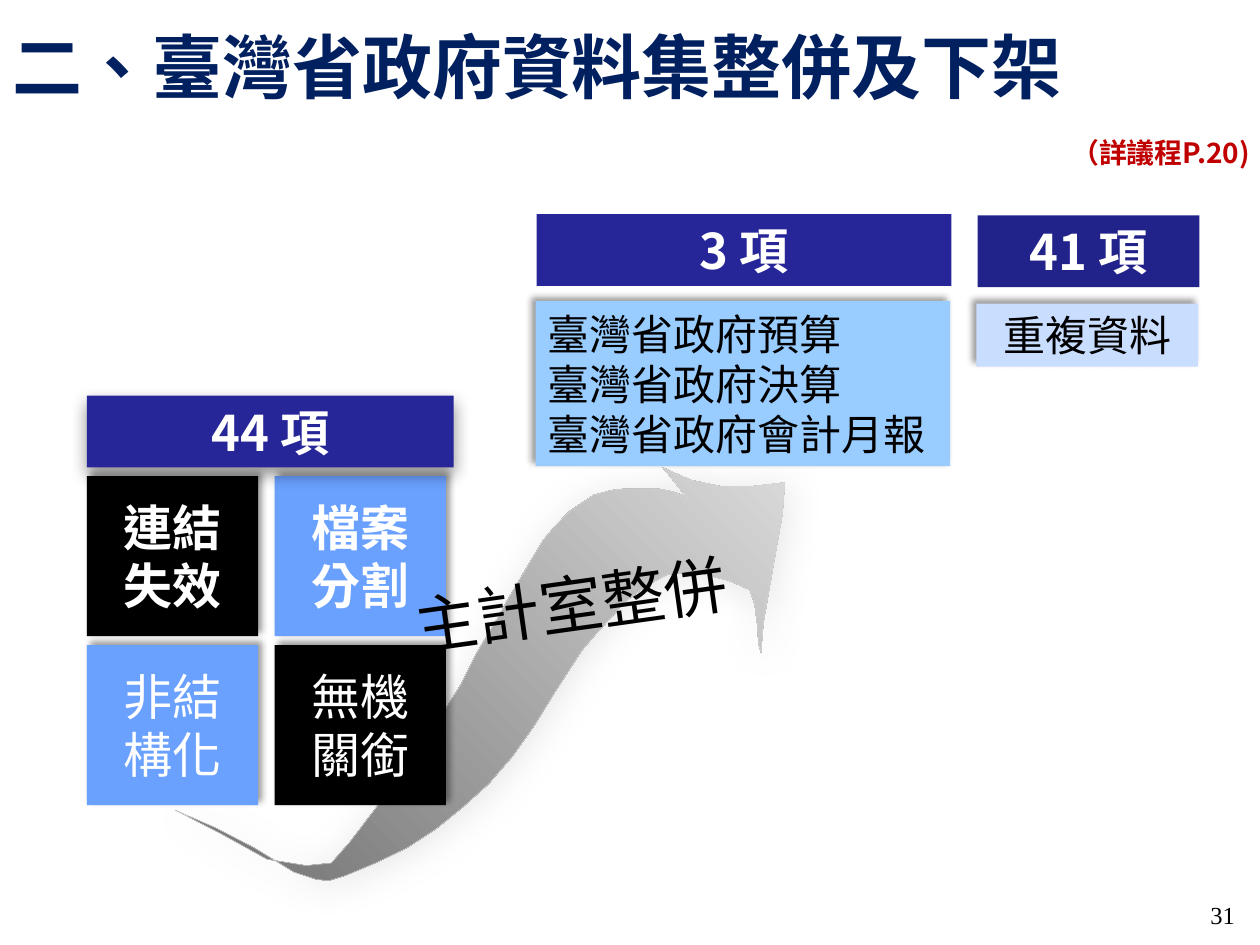
from lxml.etree import SubElement
from pptx import Presentation
from pptx.dml.color import RGBColor
from pptx.enum.shapes import MSO_SHAPE as SHAPE
from pptx.enum.text import MSO_ANCHOR as ANCHOR, PP_ALIGN as ALIGN
from pptx.oxml.ns import qn
from pptx.util import Inches, Pt

SC, TC, ROMAN = "Noto Sans CJK SC", "Noto Sans CJK TC", "Times New Roman"
WHITE, BLACK, NAVY, BLUE = "FFFFFF", "000000", "262699", "6AA1FF"
LEFT, CENTER, RIGHT = ALIGN.LEFT, ALIGN.CENTER, ALIGN.RIGHT

TITLE = "二、臺灣省政府資料集整併及下架"
TILES = [
    [(["連結失效"], BLACK, True), (["檔案", "分割"], BLUE, True)],
    [(["非結", "構化"], BLUE, False), (["無機", "關銜"], BLACK, False)],
]
TILE_LEFT, TILE_TOP, TILE_W, TILE_H = 0.69, 3.78, 1.36, 1.27
COL_STEP, ROW_STEP = 1.49, 1.34
HEADINGS = [
    ("44 項", (0.69, 3.14, 2.91, 0.57), NAVY, (BLACK, 43, 10, 4, 90)),
    ("3 項", (4.26, 1.7, 3.29, 0.57), NAVY, None),
    ("41 項", (7.76, 1.71, 1.76, 0.57), "22228B", None),
]
DETAILS = [
    (["臺灣省政府預算", "臺灣省政府決算", "臺灣省政府會計月報"],
     (4.25, 2.39, 3.29, 1.31), "99CCFF", LEFT),
    (["重複資料"], (7.75, 2.41, 1.76, 0.5), "C9DDFF", CENTER),
]
LABELS = [
    ("主計室整併", (3.18, 4.39, 3.43, 0.71), -8, LEFT,
     dict(size=36, name=SC, color=BLACK)),
    ("（詳議程P.20)", (7.96, 1.03, 2.06, 0.37), 0, RIGHT,
     dict(size=16, name=SC, color="C00000", bold=True)),
    ("31", (9.13, 7.09, 0.77, 0.24), 0, RIGHT,
     dict(size=14, name=ROMAN, color=BLACK)),
]
UNITS_PER_INCH = 100
ARROW = [
    (139, 643), (171, 657), (202, 673), (233, 692), (251, 698),
    (261, 699), (274, 695), (298, 685), (323, 673), (346, 658),
    (367, 641), (388, 622), (407, 600), (424, 576), (440, 550),
    (451, 533), (462, 516), (474, 502), (486, 489), (497, 477),
    (509, 468), (520, 461), (530, 456), (539, 455), (547, 454),
    (557, 455), (567, 458), (579, 461), (595, 468), (599, 480),
    (601, 496), (602, 511), (604, 518), (606, 494), (615, 442),
    (621, 408), (623, 383), (597, 386), (572, 386), (548, 381),
    (526, 371), (547, 397), (542, 393), (533, 390), (523, 388),
    (512, 388), (495, 388), (486, 389), (471, 393), (453, 405),
    (441, 417), (431, 429), (419, 449), (403, 476), (393, 494),
    (378, 519), (366, 543), (351, 567), (336, 588), (307, 630),
    (278, 668), (263, 685), (243, 687), (212, 682), (176, 662),
]


def rgb(value):
    return RGBColor.from_string(value)


def place(s, box):
    for key, value in zip(("left", "top", "width", "height"), box):
        setattr(s, key, Inches(value))


def write(s, lines, fmt, align=LEFT, anchor=ANCHOR.TOP, pitch=None):
    tf = s.text_frame
    tf.word_wrap = True
    tf.vertical_anchor = anchor
    values = {"bold": False, **fmt, "size": Pt(fmt["size"])}
    color = values.pop("color")
    for i, line in enumerate(lines):
        p = tf.add_paragraph() if i else tf.paragraphs[0]
        p.alignment = align
        if pitch:
            p.line_spacing = Pt(pitch)
        r = p.add_run()
        r.text = line
        r.font.color.rgb = rgb(color)
        for key, value in values.items():
            setattr(r.font, key, value)
        r.font._element.set("lang", "zh-TW")
        SubElement(r.font._element, qn("a:ea"), typeface=fmt["name"])


def cast_shadow(s, color, alpha, blur, dist, angle):
    s.shadow.inherit = False
    effects = s._element.spPr.find(qn("a:effectLst"))
    outer = SubElement(effects, qn("a:outerShdw"), blurRad=str(Pt(blur)),
                       dist=str(Pt(dist)), dir=str(angle * 60000),
                       algn="ctr", rotWithShape="0")
    clr = SubElement(outer, qn("a:srgbClr"), val=color)
    SubElement(clr, qn("a:alpha"), val=str(alpha * 1000))


def panel(shapes, box, fill, shadow=None):
    s = shapes.add_shape(SHAPE.RECTANGLE, *map(Inches, box))
    s.fill.solid()
    s.fill.fore_color.rgb = rgb(fill)
    s.line.fill.background()
    s.shadow.inherit = False
    if shadow:
        cast_shadow(s, *shadow)
    return s


def add_arrow(shapes):
    builder = shapes.build_freeform(*ARROW[0], scale=Inches(1) / UNITS_PER_INCH)
    builder.add_line_segments(ARROW[1:], close=True)
    s = builder.convert_to_shape()
    s.fill.gradient()
    s.fill.gradient_angle = 45
    for stop, color in zip(s.fill.gradient_stops, ("717171", "D9D9D9")):
        stop.color.rgb = rgb(color)
    s.line.color.rgb = rgb("D7D7D7")
    s.line.width = Pt(0.25)
    cast_shadow(s, "C0C0C0", 40, 20, 3, 45)


def main():
    prs = Presentation()
    prs.slide_width, prs.slide_height = Inches(10), Inches(7.5)
    slide = prs.slides.add_slide(prs.slide_layouts[5])
    shapes = slide.shapes
    place(shapes.title, (0, 0.14, 9.96, 0.89))
    write(shapes.title, [TITLE], dict(size=40, name=SC, color="002060", bold=True))

    add_arrow(shapes)
    for row, tiles in enumerate(TILES):
        for col, (lines, fill, bold) in enumerate(tiles):
            box = (TILE_LEFT + col * COL_STEP, TILE_TOP + row * ROW_STEP, TILE_W, TILE_H)
            s = panel(shapes, box, fill, (BLACK, 40, 4, 3, 315))
            write(s, lines, dict(size=28, name=TC, color=WHITE, bold=bold),
                  CENTER, ANCHOR.MIDDLE, 33.2)
    for lines, box, fill, align in DETAILS:
        s = panel(shapes, box, fill, (BLACK, 40, 4, 3, 225))
        write(s, lines, dict(size=24, name=TC, color=BLACK), align, ANCHOR.MIDDLE, 28.6)
    for text, box, fill, shadow in HEADINGS:
        s = panel(shapes, box, fill, shadow)
        write(s, [text], dict(size=28, name=SC, color=WHITE, bold=True),
              CENTER, ANCHOR.MIDDLE)
    for text, box, turn, align, fmt in LABELS:
        s = shapes.add_textbox(*map(Inches, box))
        s.rotation = turn
        write(s, [text], fmt, align)
    prs.save("out.pptx")


if __name__ == "__main__":
    main()
